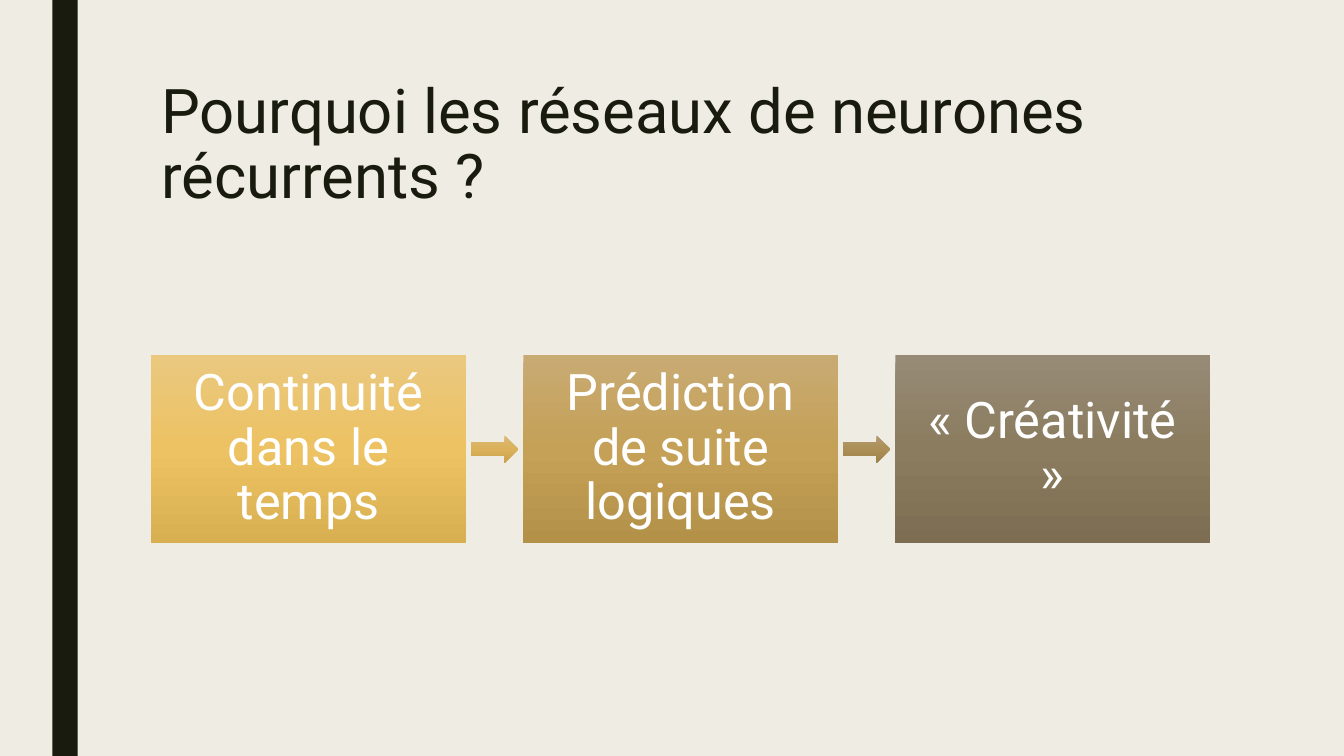
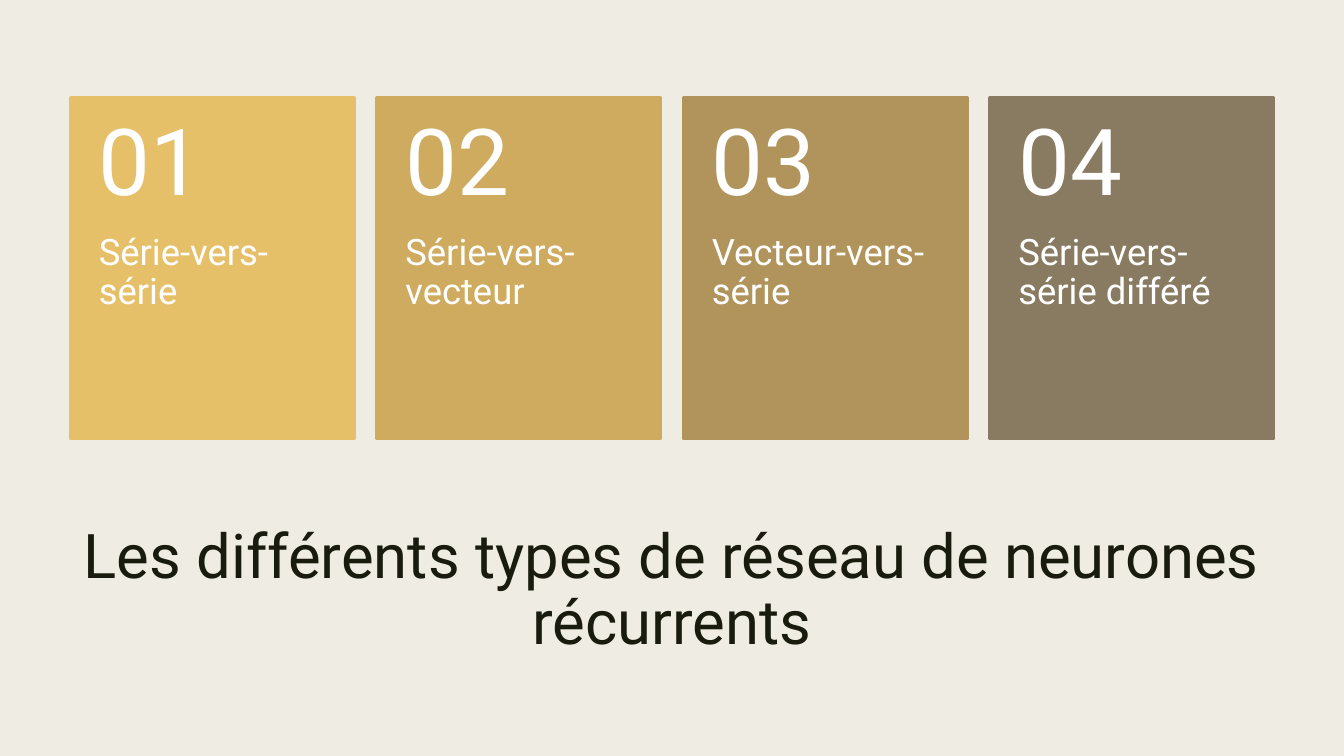
"""Build two slides on recurrent neural networks."""

from copy import deepcopy
from dataclasses import dataclass

from pptx import Presentation
from pptx.dml.color import RGBColor
from pptx.enum.shapes import MSO_SHAPE
from pptx.enum.text import MSO_ANCHOR, PP_ALIGN
from pptx.oxml.ns import qn
from pptx.util import Inches, Pt

FONT = "Roboto"
SLIDE_WIDTH, SLIDE_HEIGHT = 13.33, 7.5
COLORS = {"paper": "EFEDE3", "ink": "191B0E", "white": "FFFFFF"}


@dataclass(frozen=True)
class Area:
    """A rectangle in inches."""

    left: float
    top: float
    width: float
    height: float


@dataclass(frozen=True)
class Row:
    """Equal columns separated by equal gaps, filling an area."""

    area: Area
    columns: int
    gap: float

    @property
    def column_width(self) -> float:
        """Return the width of one column."""
        return (self.area.width - self.gap * (self.columns - 1)) / self.columns

    def cell(self, column: int) -> Area:
        """Return the area of one column."""
        left = self.area.left + column * (self.column_width + self.gap)
        return Area(left, self.area.top, self.column_width, self.area.height)

    def between(self, column: int, width: float, height: float) -> Area:
        """Return an area centred in the gap after a column."""
        cell = self.cell(column)
        left = cell.left + cell.width + (self.gap - width) / 2
        return Area(left, cell.top + (cell.height - height) / 2, width, height)


@dataclass(frozen=True)
class TextStyle:
    """The look of a text and its place in its frame."""

    size: float
    color: str = "white"
    align: PP_ALIGN = PP_ALIGN.LEFT
    anchor: MSO_ANCHOR = MSO_ANCHOR.TOP
    insets: tuple[float, float, float, float] = (0.1, 0.05, 0.1, 0.05)
    line_spacing: float = 0.9


@dataclass(frozen=True)
class Step:
    """A step of the process with the gradients of its box and next arrow."""

    label: str
    gradient: tuple[str, str, str]
    arrow_gradient: tuple[str, str, str] | None = None


@dataclass(frozen=True)
class Card:
    """A type of network with its colour."""

    label: str
    color: str


STEP_STYLE = TextStyle(36, align=PP_ALIGN.CENTER, anchor=MSO_ANCHOR.MIDDLE, insets=(0.17,) * 4)
NUMBER_STYLE = TextStyle(66, anchor=MSO_ANCHOR.MIDDLE, insets=(0.28, 0.18, 0.28, 0.18))
LABEL_STYLE = TextStyle(26, insets=(0.28, 0, 0.28, 0.36))

BAND = Area(0.52, 0, 0.25, SLIDE_HEIGHT)
TITLE_HEIGHT = 1.62
STEP_ROW = Row(Area(1.5, 3.52, 10.5, 1.87), columns=3, gap=0.57)
CARD_ROW = Row(Area(0.7, 0.97, 11.93, 3.38), columns=4, gap=0.23)
NUMBER_SHARE = 0.4

STEPS = (
    Step("Continuité dans le temps", ("EAC87E", "ECC263", "D9B051"), ("DBB977", "DBB25B", "C9A14A")),
    Step("Prédiction de suite logiques", ("C8AA73", "C5A157", "B49149"), ("B29B72", "AC8F57", "9C804A")),
    Step("« Créativité »", ("978B76", "8B7C5F", "7D6E53")),
)
CARDS = (
    Card("Série-vers-série", "E6C069"),
    Card("Série-vers-vecteur", "CEAB5F"),
    Card("Vecteur-vers-série", "B0945B"),
    Card("Série-vers-série différé", "897B61"),
)


def inches(area: Area) -> tuple:
    """Return the area as python-pptx lengths."""
    return tuple(Inches(value) for value in (area.left, area.top, area.width, area.height))


def write(frame, text: str, style: TextStyle) -> None:
    """Write one styled paragraph in a text frame."""
    frame.text = text
    frame.word_wrap = True
    frame.vertical_anchor = style.anchor
    frame.margin_left, frame.margin_top, frame.margin_right, frame.margin_bottom = map(
        Inches, style.insets
    )
    paragraph = frame.paragraphs[0]
    paragraph.alignment = style.align
    paragraph.line_spacing = style.line_spacing
    font = paragraph.runs[0].font
    font.name, font.size = FONT, Pt(style.size)
    font.color.rgb = RGBColor.from_string(COLORS[style.color])


def add_text(slide, area: Area, text: str, style: TextStyle) -> None:
    """Add a text box."""
    write(slide.shapes.add_textbox(*inches(area)).text_frame, text, style)


def add_block(slide, area: Area, kind: MSO_SHAPE = MSO_SHAPE.RECTANGLE):
    """Add a preset shape without line or shadow."""
    block = slide.shapes.add_shape(kind, *inches(area))
    block.shadow.inherit = False
    block.line.fill.background()
    return block


def fill_solid(block, color: str) -> None:
    """Fill a shape with one colour."""
    block.fill.solid()
    block.fill.fore_color.rgb = RGBColor.from_string(color)


def fill_gradient(block, colors: tuple[str, ...]) -> None:
    """Fill a shape with evenly spaced colours from top to bottom."""
    block.fill.gradient()
    block.fill.gradient_angle = 270
    stop_list = next(block._element.spPr.iter(qn("a:gsLst")))
    while len(stop_list) < len(colors):
        stop_list.append(deepcopy(stop_list[0]))
    for index, (stop, color) in enumerate(zip(block.fill.gradient_stops, colors)):
        stop.color.rgb = RGBColor.from_string(color)
        stop.position = index / (len(colors) - 1)


def add_slide(deck, title: str, title_area: Area, align: PP_ALIGN = PP_ALIGN.LEFT):
    """Add a blank slide with its title."""
    slide = deck.slides.add_slide(deck.slide_layouts[6])
    add_text(slide, title_area, title, TextStyle(44, "ink", align, line_spacing=0.89))
    return slide


def add_reasons(deck) -> None:
    """Add the slide on the reasons for recurrent networks."""
    area = STEP_ROW.area
    slide = add_slide(
        deck,
        "Pourquoi les réseaux de neurones récurrents ?",
        Area(area.left, 0.75, area.width, TITLE_HEIGHT),
    )
    fill_solid(add_block(slide, BAND), COLORS["ink"])
    for column, step in enumerate(STEPS):
        box = add_block(slide, STEP_ROW.cell(column))
        fill_gradient(box, step.gradient)
        write(box.text_frame, step.label, STEP_STYLE)
        if step.arrow_gradient:
            arrow = add_block(slide, STEP_ROW.between(column, 0.47, 0.27), MSO_SHAPE.RIGHT_ARROW)
            fill_gradient(arrow, step.arrow_gradient)


def add_types(deck) -> None:
    """Add the slide on the types of recurrent networks."""
    area = CARD_ROW.area
    slide = add_slide(
        deck,
        "Les différents types de réseau de neurones récurrents",
        Area(area.left, 5.17, area.width, TITLE_HEIGHT),
        PP_ALIGN.CENTER,
    )
    number_height = area.height * NUMBER_SHARE
    for column, card in enumerate(CARDS):
        cell = CARD_ROW.cell(column)
        panel = add_block(slide, cell)
        fill_solid(panel, card.color)
        panel.line.color.rgb = RGBColor.from_string(card.color)
        panel.line.width = Pt(2.75)
        number_area = Area(cell.left, cell.top, cell.width, number_height)
        label_area = Area(
            cell.left, cell.top + number_height, cell.width, cell.height - number_height
        )
        add_text(slide, number_area, f"{column + 1:02}", NUMBER_STYLE)
        add_text(slide, label_area, card.label, LABEL_STYLE)


def main() -> None:
    """Build and save the presentation."""
    deck = Presentation()
    deck.slide_width, deck.slide_height = Inches(SLIDE_WIDTH), Inches(SLIDE_HEIGHT)
    paper = deck.slide_master.background.fill
    paper.solid()
    paper.fore_color.rgb = RGBColor.from_string(COLORS["paper"])
    add_reasons(deck)
    add_types(deck)
    deck.save("out.pptx")


if __name__ == "__main__":
    main()
